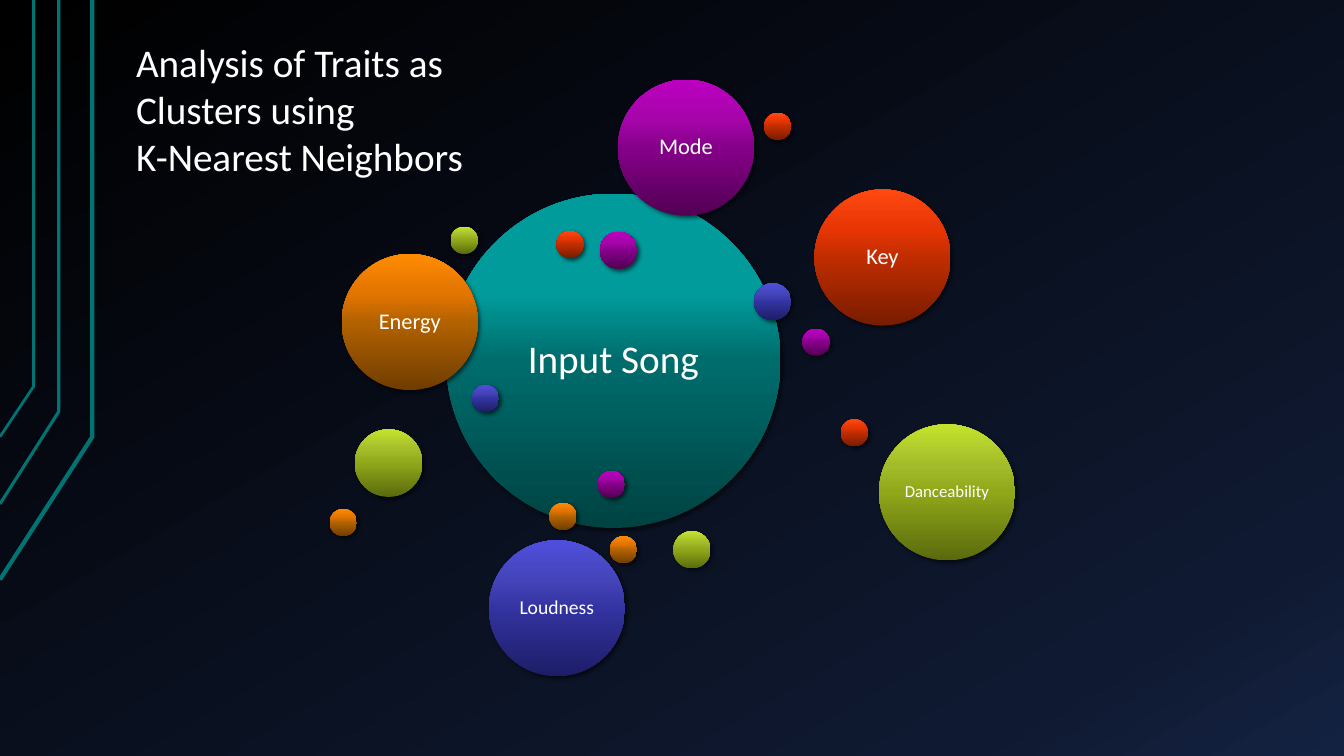
from lxml.etree import SubElement as Sub
from pptx import Presentation as Deck
from pptx.dml.color import RGBColor as RGB
from pptx.enum.shapes import MSO_SHAPE as Shape
from pptx.enum.text import MSO_ANCHOR as Anchor, MSO_AUTO_SIZE as Fit, PP_ALIGN as Align
from pptx.oxml.ns import qn
from pptx.util import Emu, Inches, Pt

COLS, ROWS = 160, 90
UNIT = Inches(1 / 12)
UPWARD, SLANT = 90, 300

WHITE = RGB(0xFF, 0xFF, 0xFF)
BLACK = RGB(0x00, 0x00, 0x00)
TRACE = RGB(0x00, 0x73, 0x73)

STOPS = (0, 50, 70, 100)
TEAL = (RGB(0x00, 0x43, 0x43), RGB(0x00, 0x6C, 0x6C), RGB(0x01, 0x9B, 0x9B), RGB(0x00, 0x99, 0x99))
ORANGE = (RGB(0x6F, 0x3D, 0x00), RGB(0xB3, 0x62, 0x00), RGB(0xE2, 0x74, 0x00), RGB(0xFE, 0x8B, 0x00))
PURPLE = (RGB(0x52, 0x00, 0x54), RGB(0x85, 0x00, 0x88), RGB(0xA5, 0x05, 0xA9), RGB(0xBC, 0x00, 0xC0))
LIME = (RGB(0x5A, 0x6A, 0x0D), RGB(0x8F, 0xA7, 0x19), RGB(0xA3, 0xBC, 0x2A), RGB(0xC4, 0xE3, 0x2D))
RED = (RGB(0x77, 0x1C, 0x00), RGB(0xC0, 0x2D, 0x00), RGB(0xE6, 0x35, 0x03), RGB(0xFF, 0x49, 0x11))
BLUE = (RGB(0x1D, 0x1D, 0x66), RGB(0x33, 0x33, 0xA1), RGB(0x44, 0x44, 0xB8), RGB(0x4F, 0x4F, 0xDD))
NIGHT = (RGB(0x00, 0x00, 0x00), RGB(0x0F, 0x19, 0x31), RGB(0x14, 0x22, 0x42))

HUB, TRAIT, LARGE, SMALL, DOT = 39.8, 16.2, 8.04, 4.44, 3.24

BALLS = (
    (73.02, 42.96, HUB, TEAL, "Input Song", 28),
    (67.02, 61.5, DOT, ORANGE),
    (97.14, 40.74, DOT, PURPLE),
    (82.38, 65.46, SMALL, LIME),
    (67.86, 29.1, DOT, RED),
    (57.78, 47.46, DOT, BLUE),
    (48.78, 38.34, TRAIT, ORANGE, "Energy", 16),
    (73.62, 29.82, SMALL, PURPLE),
    (46.26, 55.14, LARGE, LIME),
    (105.06, 30.66, TRAIT, RED, "Key", 16),
    (91.98, 35.94, SMALL, BLUE),
    (40.86, 62.22, DOT, ORANGE),
    (72.78, 57.66, DOT, PURPLE),
    (112.74, 58.62, TRAIT, LIME, "Danceability", 12),
    (101.7, 51.54, DOT, RED),
    (66.3, 72.42, TRAIT, BLUE, "Loudness", 14),
    (74.22, 65.46, DOT, ORANGE),
    (81.66, 17.58, TRAIT, PURPLE, "Mode", 16),
    (55.26, 28.62, DOT, LIME),
    (92.58, 15.06, DOT, RED),
)

BENDS = (
    ((-0.12, 68.64), (10.56, 52.2), 3),
    ((-0.24, 59.88), (6.96, 48.96), 2.25),
    ((-0.12, 52.08), (4.08, 45.72), 2),
)


def span(count):
    return Emu(round(count * UNIT))


class Board:
    font = "Calibri"
    ink = WHITE

    def __init__(self, deck):
        self.slide = deck.slides.add_slide(deck.slide_layouts[5])
        self.shapes = self.slide.shapes

    def blend(self, fill, root, tones, stops, angle):
        fill.gradient()
        fill.gradient_angle = angle
        ramp = next(root.iter(qn("a:gsLst")))
        ramp.clear()
        for stop, tone in zip(stops, tones):
            mark = Sub(ramp, qn("a:gs"), pos=str(stop * 1000))
            Sub(mark, qn("a:srgbClr"), val=str(tone))

    def ground(self, tones, stops):
        self.blend(self.slide.background.fill, self.slide.element, tones, stops, SLANT)

    def letter(self, frame, text, size, align):
        frame.text = text
        frame.word_wrap = True
        for line in frame.paragraphs:
            line.alignment = align
            for run in line.runs:
                run.font.name = self.font
                run.font.size = Pt(size)
                run.font.color.rgb = self.ink

    def title(self, text, left, top, width, height, size):
        head = self.shapes.title
        head.left, head.top = span(left), span(top)
        head.width, head.height = span(width), span(height)
        frame = head.text_frame
        frame.vertical_anchor = Anchor.TOP
        frame.auto_size = Fit.SHAPE_TO_FIT_TEXT
        self.letter(frame, text, size, Align.LEFT)

    def bend(self, foot, knee, weight):
        pen = self.shapes.build_freeform(*foot, scale=UNIT)
        pen.add_line_segments((knee, (knee[0], 0)), close=False)
        trace = pen.convert_to_shape()
        trace.shadow.inherit = False
        trace.fill.background()
        trace.line.color.rgb = TRACE
        trace.line.width = Pt(weight)

    def shade(self, shape):
        shape.shadow.inherit = False
        effects = next(shape.element.iter(qn("a:effectLst")))
        cast = Sub(effects, qn("a:outerShdw"), blurRad=str(Pt(3)), dist=str(Pt(2)),
                   dir=str(45 * 60000), algn="ctr", rotWithShape="0")
        tone = Sub(cast, qn("a:srgbClr"), val=str(BLACK))
        Sub(tone, qn("a:alpha"), val="60000")

    def ball(self, col, row, wide, tones, text="", size=0):
        disc = self.shapes.add_shape(Shape.OVAL, span(col - wide / 2), span(row - wide / 2),
                                     span(wide), span(wide))
        self.blend(disc.fill, disc.element, tones, STOPS, UPWARD)
        disc.line.fill.background()
        self.shade(disc)
        if text:
            frame = disc.text_frame
            pad = Pt(size * 0.32)
            frame.margin_left = frame.margin_right = pad
            frame.margin_top = frame.margin_bottom = pad
            frame.vertical_anchor = Anchor.MIDDLE
            self.letter(frame, text, size, Align.CENTER)
            frame.paragraphs[0].line_spacing = 0.9


def main():
    deck = Deck()
    deck.slide_width, deck.slide_height = span(COLS), span(ROWS)
    board = Board(deck)
    board.ground(NIGHT, (0, 85, 100))
    for bend in BENDS:
        board.bend(*bend)
    for ball in BALLS:
        board.ball(*ball)
    board.title("Analysis of Traits as Clusters using\nK-Nearest Neighbors", 15, 3.96, 48, 18.12, 28)
    deck.save("out.pptx")


if __name__ == "__main__":
    main()
